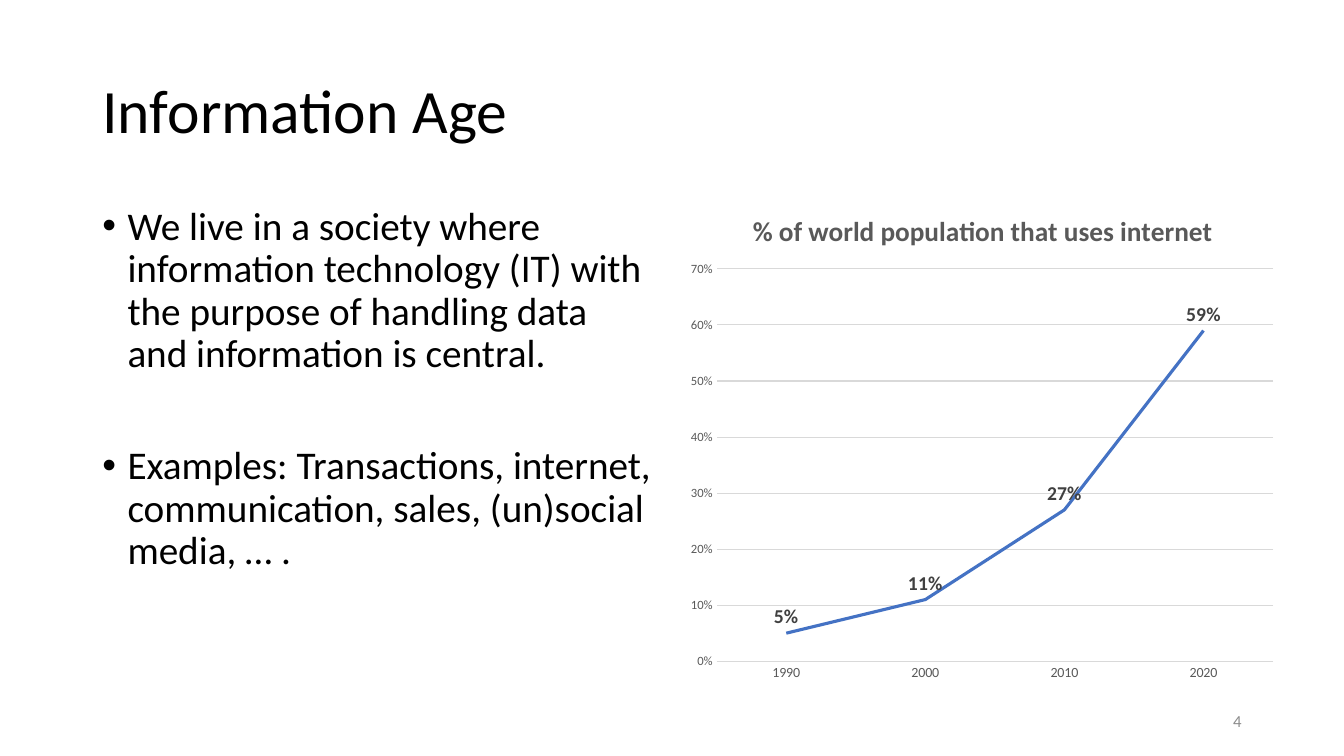
from dataclasses import dataclass

from lxml import etree
from pptx import Presentation
from pptx.chart.data import CategoryChartData
from pptx.dml.color import RGBColor
from pptx.enum.chart import XL_CHART_TYPE, XL_LABEL_POSITION, XL_TICK_MARK
from pptx.enum.text import MSO_ANCHOR, PP_ALIGN
from pptx.oxml.ns import qn
from pptx.util import Inches, Pt

LINE_CHART = XL_CHART_TYPE.LINE
ABOVE = XL_LABEL_POSITION.ABOVE
NO_TICK = XL_TICK_MARK.NONE
TOP, MIDDLE = MSO_ANCHOR.TOP, MSO_ANCHOR.MIDDLE
LEFT, RIGHT = PP_ALIGN.LEFT, PP_ALIGN.RIGHT

PAGE_WIDTH, PAGE_HEIGHT = Inches(13.33), Inches(7.5)
COLUMNS, ROWS = 160, 90
FONT = "Calibri"
BLACK, GREY, DARK, PALE = "000000", "595959", "404040", "D9D9D9"
BLUE, NUMBER_GREY = "4472C4", "8C8C8C"


@dataclass(frozen=True)
class Frame:
    """A rectangle in columns and rows of the page grid."""
    column: float
    row: float
    width: float
    height: float

    def lengths(self) -> tuple[int, ...]:
        across, down = PAGE_WIDTH / COLUMNS, PAGE_HEIGHT / ROWS
        return (round(self.column * across), round(self.row * down),
                round(self.width * across), round(self.height * down))


@dataclass(frozen=True)
class Line:
    text: str
    size: float
    color: str = BLACK
    before: float = 0
    spacing: float = 1
    align: PP_ALIGN = LEFT
    bullet: bool = False


TITLE_FRAME = Frame(11, 4.8, 138, 17.4)
BODY_FRAME = Frame(11, 24, 68, 57.1)
CHART_FRAME = Frame(81, 22.8, 72, 59.5)
NUMBER_FRAME = Frame(113, 83.4, 36, 4.8)

TITLE = Line("Information Age", 44, spacing=0.9)
POINTS = [
    Line("We live in a society where information technology (IT) with the purpose "
         "of handling data and information is central.",
         28, before=10, spacing=0.9, bullet=True),
    Line("Examples: Transactions, internet, communication, sales, (un)social media, … .",
         28, before=50, spacing=0.9, bullet=True),
]
PAGE_NUMBER = Line("4", 12, NUMBER_GREY, align=RIGHT)

CHART_TITLE = "% of world population that uses internet"
CHART_TITLE_SIZE = 19.5  # the widest that stays on one line
INTERNET_USE = {"1990": 0.05, "2000": 0.11, "2010": 0.27, "2020": 0.59}
PLOT_SHARES = {"x": 0.06, "y": 0.155, "w": 0.92, "h": 0.785}


def rgb(color: str) -> RGBColor:
    return RGBColor.from_string(color)


def set_all(target, values: dict) -> None:
    for name, value in values.items():
        setattr(target, name, value)


def style_font(font, size: float, color: str, bold: bool = False) -> None:
    set_all(font, {"name": FONT, "size": Pt(size), "bold": bold})
    font.color.rgb = rgb(color)


def style_line(line, color: str, width: float) -> None:
    line.color.rgb = rgb(color)
    line.width = Pt(width)


def add_bullet(para) -> None:
    properties = para._p.get_or_add_pPr()
    properties.set("marL", str(Inches(0.25)))
    properties.set("indent", str(-Inches(0.25)))
    etree.SubElement(properties, qn("a:buFont")).set("typeface", "Arial")
    etree.SubElement(properties, qn("a:buChar")).set("char", "•")


def write_lines(box, frame: Frame, lines: list[Line], anchor: MSO_ANCHOR) -> None:
    set_all(box, dict(zip(("left", "top", "width", "height"), frame.lengths())))
    set_all(box.text_frame, {"word_wrap": True, "vertical_anchor": anchor})
    for index, line in enumerate(lines):
        para = box.text_frame.add_paragraph() if index else box.text_frame.paragraphs[0]
        set_all(para, {"alignment": line.align, "line_spacing": line.spacing,
                       "space_before": Pt(line.before)})
        if line.bullet:
            add_bullet(para)
        span = para.add_run()
        span.text = line.text
        style_font(span.font, line.size, line.color)


def place_plot(chart) -> None:
    """Fix the plot's inner area in shares of the chart's size."""
    area = chart._chartSpace.chart.plotArea
    for old in area.findall(qn("c:layout")):
        area.remove(old)
    layout = etree.Element(qn("c:layout"))
    manual = etree.SubElement(layout, qn("c:manualLayout"))
    settings = {"layoutTarget": "inner", "xMode": "edge", "yMode": "edge", **PLOT_SHARES}
    for name, value in settings.items():
        etree.SubElement(manual, qn(f"c:{name}")).set("val", str(value))
    area.insert(0, layout)


def style_axes(chart) -> None:
    years, shares = chart.category_axis, chart.value_axis
    for axis, size in ((years, 10), (shares, 9)):
        set_all(axis, {"major_tick_mark": NO_TICK, "minor_tick_mark": NO_TICK})
        style_font(axis.tick_labels.font, size, GREY)
    style_line(years.format.line, PALE, 0.75)
    shares.format.line.fill.background()
    set_all(shares, {"minimum_scale": 0, "maximum_scale": 0.7, "major_unit": 0.1,
                     "has_major_gridlines": True})
    style_line(shares.major_gridlines.format.line, PALE, 0.75)
    set_all(shares.tick_labels, {"number_format": "0%", "number_format_is_linked": False})


def add_internet_chart(page) -> None:
    data = CategoryChartData(number_format="0%")
    data.categories = list(INTERNET_USE)
    data.add_series("Series 1", list(INTERNET_USE.values()))
    chart = page.shapes.add_chart(LINE_CHART, *CHART_FRAME.lengths(), data).chart
    style_font(chart.font, 10, BLACK)
    set_all(chart, {"has_legend": False, "has_title": True})
    span = chart.chart_title.text_frame.paragraphs[0].add_run()
    span.text = CHART_TITLE
    style_font(span.font, CHART_TITLE_SIZE, GREY, bold=True)
    chart.chart_title.include_in_layout = False
    place_plot(chart)
    style_axes(chart)

    plot = chart.plots[0]
    plot.vary_by_categories = False
    series = plot.series[0]
    series.smooth = False
    style_line(series.format.line, BLUE, 2.25)
    labels = series.data_labels
    set_all(labels, {"show_value": True, "position": ABOVE, "number_format": "0%",
                     "number_format_is_linked": False})
    style_font(labels.font, 14, DARK, bold=True)


def main() -> None:
    deck = Presentation()
    set_all(deck, {"slide_width": PAGE_WIDTH, "slide_height": PAGE_HEIGHT})
    page = deck.slides.add_slide(deck.slide_layouts.get_by_name("Title Only"))
    write_lines(page.shapes.title, TITLE_FRAME, [TITLE], MIDDLE)
    for frame, lines, anchor in ((BODY_FRAME, POINTS, TOP),
                                 (NUMBER_FRAME, [PAGE_NUMBER], MIDDLE)):
        write_lines(page.shapes.add_textbox(*frame.lengths()), frame, lines, anchor)
    add_internet_chart(page)
    deck.save("out.pptx")


if __name__ == "__main__":
    main()
